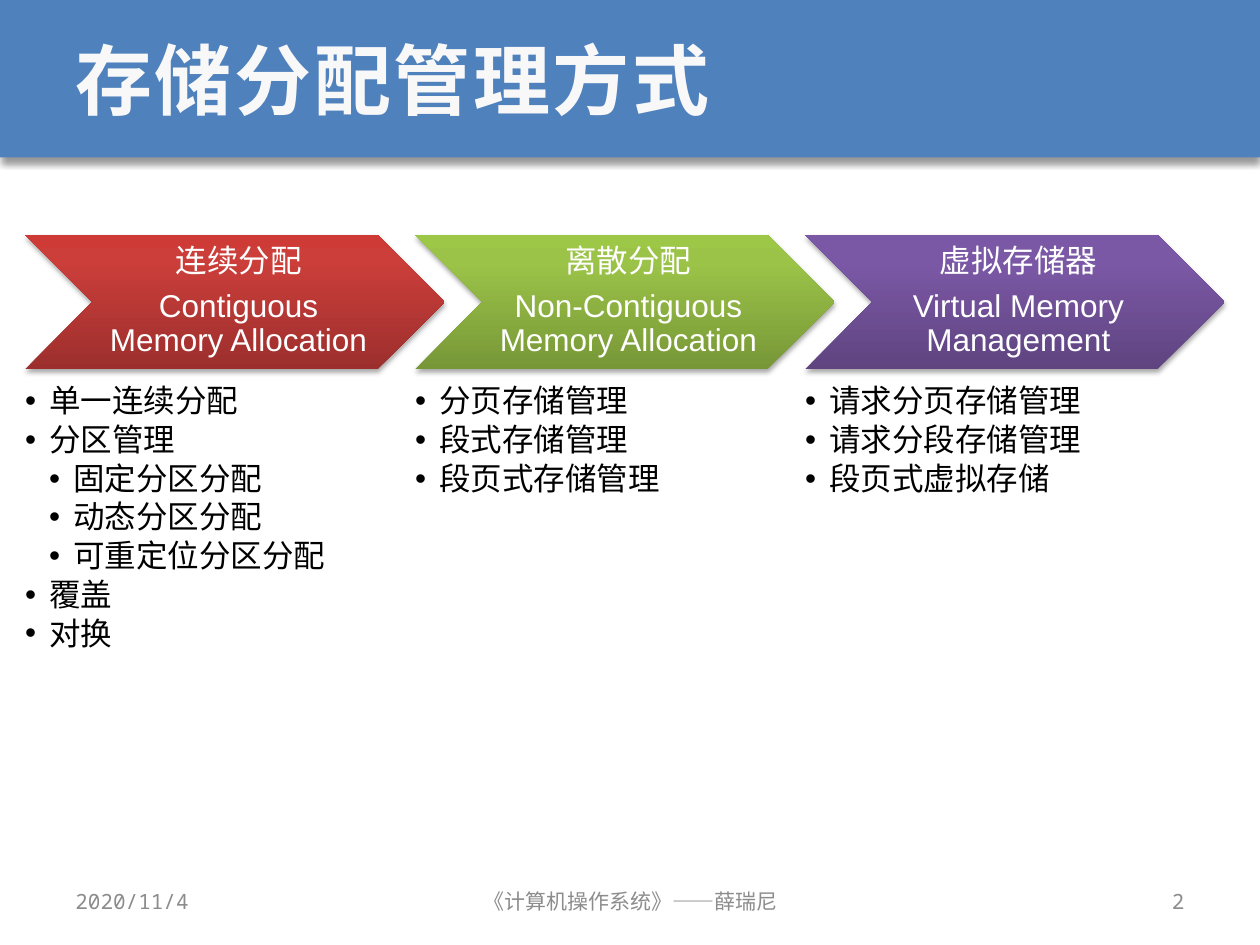
import copy

import pptx
import pptx.dml.color
import pptx.enum.shapes
import pptx.enum.text
import pptx.oxml
import pptx.oxml.ns
import pptx.util
import lxml.etree

RGB = pptx.dml.color.RGBColor
ALIGN = pptx.enum.text.PP_ALIGN
ANCHOR = pptx.enum.text.MSO_ANCHOR
SHAPE = pptx.enum.shapes.MSO_SHAPE
qn = pptx.oxml.ns.qn

BAND_BLUE = RGB(0x4F, 0x81, 0xBD)
TITLE_WHITE = RGB(0xF8, 0xF8, 0xF8)
FOOTER_GREY = RGB(0x8C, 0x8C, 0x8C)
WHITE = RGB(0xFF, 0xFF, 0xFF)
BLACK = RGB(0, 0, 0)
REDS = (RGB(0x9C, 0x2F, 0x2D), RGB(0xCB, 0x3E, 0x3A), RGB(0xCE, 0x3B, 0x37))
GREENS = (RGB(0x77, 0x97, 0x37), RGB(0x9B, 0xC3, 0x48), RGB(0x9D, 0xC7, 0x46))
PURPLES = (RGB(0x5F, 0x44, 0x80), RGB(0x7B, 0x58, 0xA6), RGB(0x7C, 0x57, 0xA8))

# Grid of the slide: 100 columns by 75 rows
COLUMNS, ROWS = 100, 75
DECK_FONT, BODY_FONT = "Noto Sans Mono", "Arial"
BODY_SIZE = 18
INDENT = 0.19

# Heading lines, gradient from bottom to top, bullets as (level, text)
METHODS = [
    (("连续分配", "Contiguous Memory Allocation"), REDS,
     [(1, "单一连续分配"), (1, "分区管理"), (2, "固定分区分配"), (2, "动态分区分配"),
      (2, "可重定位分区分配"), (1, "覆盖"), (1, "对换")]),
    (("离散分配", "Non-Contiguous Memory Allocation"), GREENS,
     [(1, "分页存储管理"), (1, "段式存储管理"), (1, "段页式存储管理")]),
    (("虚拟存储器", "Virtual Memory Management"), PURPLES,
     [(1, "请求分页存储管理"), (1, "请求分段存储管理"), (1, "段页式虚拟存储")]),
]


class SlideBuilder:
    def __init__(self, deck):
        self.slide = deck.slides.add_slide(deck.slide_layouts[6])
        self.column = deck.slide_width / COLUMNS
        self.row = deck.slide_height / ROWS

    def place(self, x, y, width, height):
        return [round(n) for n in (x * self.column, y * self.row,
                                   width * self.column, height * self.row)]

    def shape(self, preset, at, opacity, blur, distance):
        """Borderless preset shape with a soft shadow below it."""
        shape = self.slide.shapes.add_shape(preset, *self.place(*at))
        shape.line.fill.background()
        shape.shadow.inherit = False
        effects = shape._element.spPr.find(qn("a:effectLst"))
        shadow = lxml.etree.SubElement(
            effects, qn("a:outerShdw"), blurRad=str(pptx.util.Pt(blur)),
            dist=str(pptx.util.Pt(distance)), dir="5400000", rotWithShape="0")
        tint = lxml.etree.SubElement(shadow, qn("a:srgbClr"), val=str(BLACK))
        lxml.etree.SubElement(tint, qn("a:alpha"), val=str(opacity * 1000))
        return shape

    def band(self, at):
        band = self.shape(SHAPE.RECTANGLE, at, 40, 4, 3)
        band.fill.solid()
        band.fill.fore_color.rgb = BAND_BLUE

    def chevron(self, at, colors):
        chevron = self.shape(SHAPE.CHEVRON, at, 35, 3.1, 1.8)
        chevron.fill.gradient()
        chevron.fill.gradient_angle = 90
        stop_list = chevron._element.spPr.find(".//" + qn("a:gsLst"))
        stop_list.append(copy.deepcopy(stop_list[0]))
        for stop, share, color in zip(chevron.fill.gradient_stops, (0, 0.8, 1), colors):
            stop.position = share
            stop.color.rgb = color

    def frame(self, at, anchor=ANCHOR.MIDDLE, insets=(0.1, 0.05, 0.1, 0.05)):
        frame = self.slide.shapes.add_textbox(*self.place(*at)).text_frame
        frame.word_wrap = True
        frame.vertical_anchor = anchor
        (frame.margin_left, frame.margin_top,
         frame.margin_right, frame.margin_bottom) = map(pptx.util.Inches, insets)
        return frame

    def add_run(self, paragraph, text, size, font, color, bold=False):
        run = paragraph.add_run()
        run.text = text
        run.font.size = pptx.util.Pt(size)
        run.font.name = font
        run.font.bold = bold
        run.font.color.rgb = color
        return run

    def label(self, at, text, size, color, align=ALIGN.LEFT, bold=False, spacing=0):
        paragraph = self.frame(at).paragraphs[0]
        paragraph.alignment = align
        run = self.add_run(paragraph, text, size, DECK_FONT, color, bold)
        if spacing:
            run.font._element.set("spc", str(round(spacing * 100)))

    def body_lines(self, frame, texts, color, gap):
        """Add 18 pt lines; gap is the space after as a share of the size."""
        for number, text in enumerate(texts):
            paragraph = frame.add_paragraph() if number else frame.paragraphs[0]
            paragraph.line_spacing = 0.9
            paragraph.space_after = pptx.util.Pt(BODY_SIZE * gap)
            self.add_run(paragraph, text, BODY_SIZE, BODY_FONT, color)

    def heading(self, at, lines):
        frame = self.frame(at, insets=(0.08, 0.03, 0.03, 0.03))
        self.body_lines(frame, lines, WHITE, 0.35)
        for paragraph in frame.paragraphs:
            paragraph.alignment = ALIGN.CENTER

    def bullets(self, at, items):
        frame = self.frame(at, ANCHOR.TOP, (0, 0, 0, 0))
        self.body_lines(frame, [text for _, text in items], BLACK, 0.15)
        for paragraph, (level, _) in zip(frame.paragraphs, items):
            paragraph.level = level
            properties = paragraph._p.get_or_add_pPr()
            properties.set("marL", str(pptx.util.Inches(INDENT * level)))
            properties.set("indent", str(pptx.util.Inches(-INDENT)))
            lxml.etree.SubElement(properties, qn("a:buFont"), typeface=BODY_FONT)
            lxml.etree.SubElement(properties, qn("a:buChar"), char="•")


def main():
    deck = pptx.Presentation()
    deck.slide_width = pptx.util.Inches(10)
    deck.slide_height = pptx.util.Inches(7.5)
    page = SlideBuilder(deck)

    # Title band
    page.band((0, 0, COLUMNS, 12.5))
    page.label((5, 0, 90, 12.5), "存储分配管理方式", 44, TITLE_WHITE, bold=True, spacing=1.5)

    # Footer: date, course, page number
    for x, width, text, align in ((5, 23.3, "2020/11/4", ALIGN.LEFT),
                                  (34.2, 31.7, "《计算机操作系统》——薛瑞尼", ALIGN.CENTER),
                                  (71.7, 23.3, "2", ALIGN.RIGHT)):
        page.label((x, 69.5, width, 4), text, 12, FOOTER_GREY, align)

    # One chevron with its list for each allocation method
    for number, (lines, colors, items) in enumerate(METHODS):
        x = 2 + 30.95 * number
        page.chevron((x, 18.65, 33.3, 10.65), colors)
        page.heading((x + 5.33, 18.65, 22.7, 10.65), lines)
        page.bullets((x, 30.6, 26.7, 25.7), items)

    deck.save("out.pptx")


if __name__ == "__main__":
    main()
